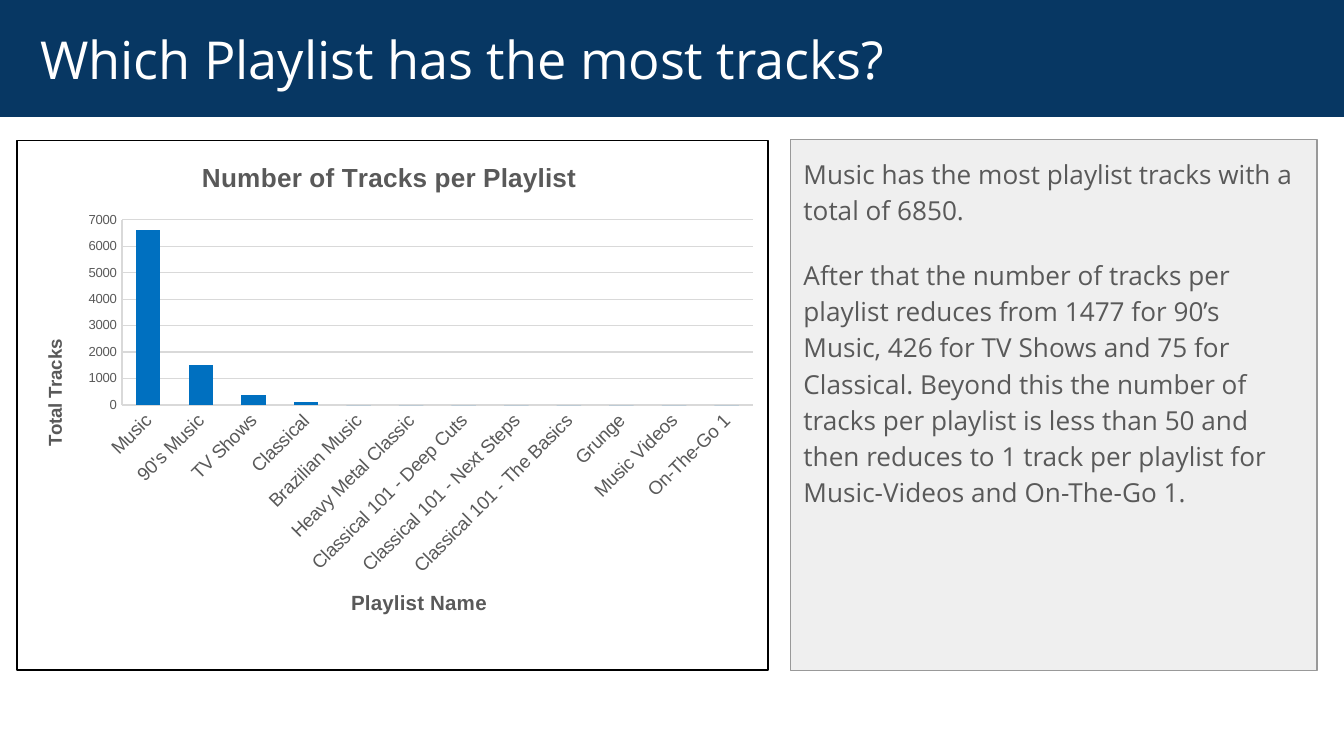
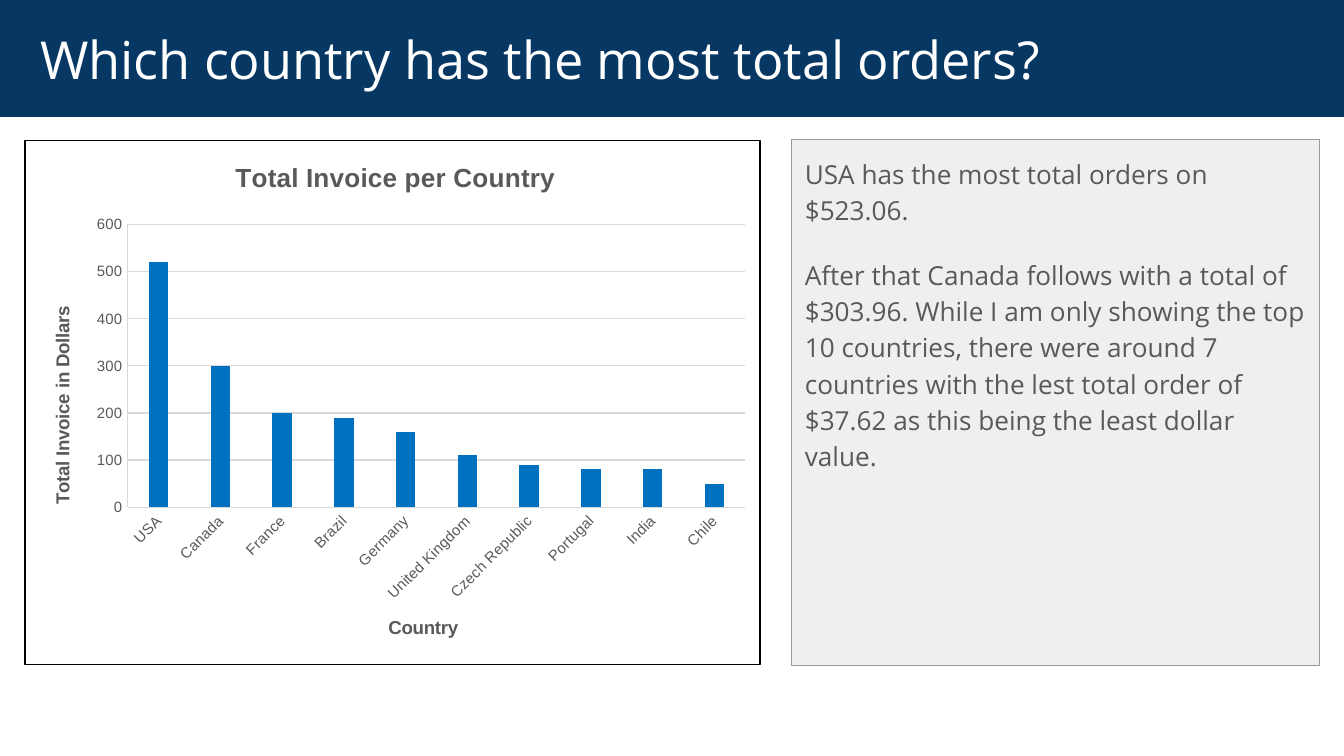
from dataclasses import dataclass

from pptx import Presentation
from pptx.chart.data import CategoryChartData
from pptx.dml.color import RGBColor
from pptx.enum.chart import XL_CHART_TYPE as ChartType, XL_TICK_MARK as Tick
from pptx.enum.shapes import MSO_SHAPE as Shape
from pptx.enum.text import MSO_ANCHOR as Anchor, PP_ALIGN as Align
from pptx.oxml import parse_xml
from pptx.oxml.ns import nsdecls, qn
from pptx.util import Inches, Pt

NAVY = RGBColor(0x07, 0x37, 0x63)
BLUE = RGBColor(0x00, 0x70, 0xC0)
PANEL = RGBColor(0xEF, 0xEF, 0xEF)
EDGE = RGBColor(0x99, 0x99, 0x99)
GRID = RGBColor(0xD9, 0xD9, 0xD9)
TEXT = RGBColor(0x59, 0x59, 0x59)
WHITE = RGBColor(0xFF, 0xFF, 0xFF)
BLACK = RGBColor(0x00, 0x00, 0x00)
TEXT_FONT = "Open Sans"
CHART_FONT = "Arial"
CONTENT_TOP = 1.04


@dataclass(frozen=True)
class Caption:
    text: str
    size: int
    x: float
    y: float


@dataclass(frozen=True)
class ColumnChart:
    left: float
    width: float
    title: Caption
    category_title: Caption
    value_title: Caption
    category_size: int
    value_size: int
    top_value: int
    step: int
    gap: int
    overlap: int
    plot_top: float
    plot_height: float
    values: dict[str, int]


@dataclass(frozen=True)
class QuestionSlide:
    title: str
    panel_left: float
    panel_width: float
    height: float
    answers: tuple[str, ...]
    columns: ColumnChart


SLIDES = (
    QuestionSlide(
        "Which Playlist has the most tracks?", 5.88, 3.92, 3.95,
        (
            "Music has the most playlist tracks with a total of 6850.",
            "After that the number of tracks per playlist reduces from 1477 for "
            "90’s Music, 426 for TV Shows and 75 for Classical. Beyond this the "
            "number of tracks per playlist is less than 50 and then reduces to 1 "
            "track per playlist for Music-Videos and On-The-Go 1.",
        ),
        ColumnChart(
            0.12, 5.6,
            Caption("Number of Tracks per Playlist", 14, 0.24, 0.03),
            Caption("Playlist Name", 11, 0.44, 0.84),
            Caption("Total Tracks", 10, 0.03, 0.37),
            10, 7, 7000, 1000, 115, -28, 0.15, 0.35,
            {
                "Music": 6600, "90's Music": 1500, "TV Shows": 400,
                "Classical": 100, "Brazilian Music": 0,
                "Heavy Metal Classic": 0, "Classical 101 - Deep Cuts": 0,
                "Classical 101 - Next Steps": 0,
                "Classical 101 - The Basics": 0, "Grunge": 0,
                "Music Videos": 0, "On-The-Go 1": 0,
            },
        ),
    ),
    QuestionSlide(
        "Which country has the most total orders?", 5.89, 3.93, 3.91,
        (
            "USA has the most total orders on $523.06.",
            "After that Canada follows with a total of $303.96. While I am only "
            "showing the top 10 countries, there were around 7 countries with the "
            "lest total order of $37.62 as this being the least dollar value.",
        ),
        ColumnChart(
            0.18, 5.48,
            Caption("Total Invoice per Country", 14, 0.28, 0.03),
            Caption("Country", 10, 0.49, 0.9),
            Caption("Total Invoice in Dollars", 10, 0.03, 0.31),
            8, 8, 600, 100, 219, -27, 0.16, 0.54,
            {
                "USA": 520, "Canada": 300, "France": 200, "Brazil": 190,
                "Germany": 160, "United Kingdom": 110, "Czech Republic": 90,
                "Portugal": 80, "India": 80, "Chile": 50,
            },
        ),
    ),
)


def style_font(font, name: str, size: int, color: RGBColor, bold: bool = False) -> None:
    font.name = name
    font.size = Pt(size)
    font.bold = bold
    font.color.rgb = color


def style_line(line, color: RGBColor) -> None:
    line.color.rgb = color
    line.width = Pt(0.75)


def add_box(slide, left: float, top: float, width: float, height: float, fill: RGBColor):
    sp = slide.shapes.add_shape(
        Shape.RECTANGLE, Inches(left), Inches(top), Inches(width), Inches(height))
    sp.shadow.inherit = False
    sp.fill.solid()
    sp.fill.fore_color.rgb = fill
    sp.line.fill.background()
    tf = sp.text_frame
    tf.word_wrap = True
    tf.margin_left = tf.margin_right = Inches(0.1)
    tf.margin_top = tf.margin_bottom = Inches(0.1)
    return sp


def add_run(p, text: str, size: int, color: RGBColor) -> None:
    p.alignment = Align.LEFT
    r = p.add_run()
    r.text = text
    style_font(r.font, TEXT_FONT, size, color)


def add_title(slide, text: str) -> None:
    tf = add_box(slide, 0, 0, 10, 0.87, NAVY).text_frame
    tf.margin_left = Inches(0.3)
    tf.vertical_anchor = Anchor.MIDDLE
    add_run(tf.paragraphs[0], text, 28, WHITE)


def add_panel(slide, item: QuestionSlide) -> None:
    sp = add_box(
        slide, item.panel_left, CONTENT_TOP, item.panel_width, item.height, PANEL)
    style_line(sp.line, EDGE)
    tf = sp.text_frame
    tf.vertical_anchor = Anchor.TOP
    for i, text in enumerate(item.answers):
        p = tf.add_paragraph() if i else tf.paragraphs[0]
        p.line_spacing = 1.15
        p.space_after = Pt(16)
        add_run(p, text, 14, TEXT)


def set_layout(parent, index: int, target: str = "", **places: float) -> None:
    for old in parent.findall(qn("c:layout")):
        parent.remove(old)
    inner = f'<c:layoutTarget val="{target}"/>' if target else ""
    modes = '<c:xMode val="edge"/><c:yMode val="edge"/>'
    sizes = "".join(f'<c:{key} val="{value}"/>' for key, value in places.items())
    parent.insert(index, parse_xml(
        f'<c:layout {nsdecls("c")}><c:manualLayout>{inner}{modes}{sizes}'
        '</c:manualLayout></c:layout>'))


def add_caption(title, caption: Caption, turned: bool = False) -> None:
    tf = title.text_frame
    r = tf.paragraphs[0].add_run()
    r.text = caption.text
    style_font(r.font, CHART_FONT, caption.size, TEXT, True)
    body = tf._txBody.find(qn("a:bodyPr"))
    body.set("rot", "-5400000" if turned else "0")
    body.set("vert", "horz")
    set_layout(title._element, 1, x=caption.x, y=caption.y)


def style_axis(axis, size: int) -> None:
    axis.major_tick_mark = axis.minor_tick_mark = Tick.NONE
    style_line(axis.format.line, GRID)
    style_font(axis.tick_labels.font, CHART_FONT, size, TEXT)


def add_frame(chart) -> None:
    chart._chartSpace.find(qn("c:chart")).addnext(parse_xml(
        f'<c:spPr {nsdecls("c", "a")}>'
        f'<a:solidFill><a:srgbClr val="{WHITE}"/></a:solidFill>'
        f'<a:ln w="{Pt(0.75)}"><a:solidFill><a:srgbClr val="{BLACK}"/></a:solidFill></a:ln>'
        '</c:spPr>'))


def add_columns(slide, columns: ColumnChart, height: float) -> None:
    data = CategoryChartData()
    data.categories = list(columns.values)
    data.add_series("Series 1", list(columns.values.values()))
    chart = slide.shapes.add_chart(
        ChartType.COLUMN_CLUSTERED, Inches(columns.left), Inches(CONTENT_TOP),
        Inches(columns.width), Inches(height), data).chart
    style_font(chart.font, CHART_FONT, 10, BLACK)
    chart.has_legend = False
    chart.has_title = True
    add_caption(chart.chart_title, columns.title)
    add_frame(chart)

    plot = chart.plots[0]
    plot.vary_by_categories = False
    plot.gap_width = columns.gap
    plot.overlap = columns.overlap
    fill = plot.series[0].format.fill
    fill.solid()
    fill.fore_color.rgb = BLUE

    cat, val = chart.category_axis, chart.value_axis
    style_axis(cat, columns.category_size)
    style_axis(val, columns.value_size)
    add_caption(cat.axis_title, columns.category_title)
    add_caption(val.axis_title, columns.value_title, True)
    labels = cat._element.find(qn("c:txPr")).find(qn("a:bodyPr"))
    labels.set("rot", "-2700000")
    labels.set("vert", "horz")
    val.minimum_scale = 0
    val.maximum_scale = columns.top_value
    val.major_unit = columns.step
    val.has_major_gridlines = True
    style_line(val.major_gridlines.format.line, GRID)

    area = chart._chartSpace.find(qn("c:chart")).find(qn("c:plotArea"))
    set_layout(
        area, 0, "inner", x=0.14, y=columns.plot_top, w=0.84, h=columns.plot_height)


prs = Presentation()
prs.slide_width = Inches(10)
prs.slide_height = Inches(10 * 9 / 16)
for item in SLIDES:
    s = prs.slides.add_slide(prs.slide_layouts[6])
    add_panel(s, item)
    add_title(s, item.title)
    add_columns(s, item.columns, item.height)
prs.save("out.pptx")
